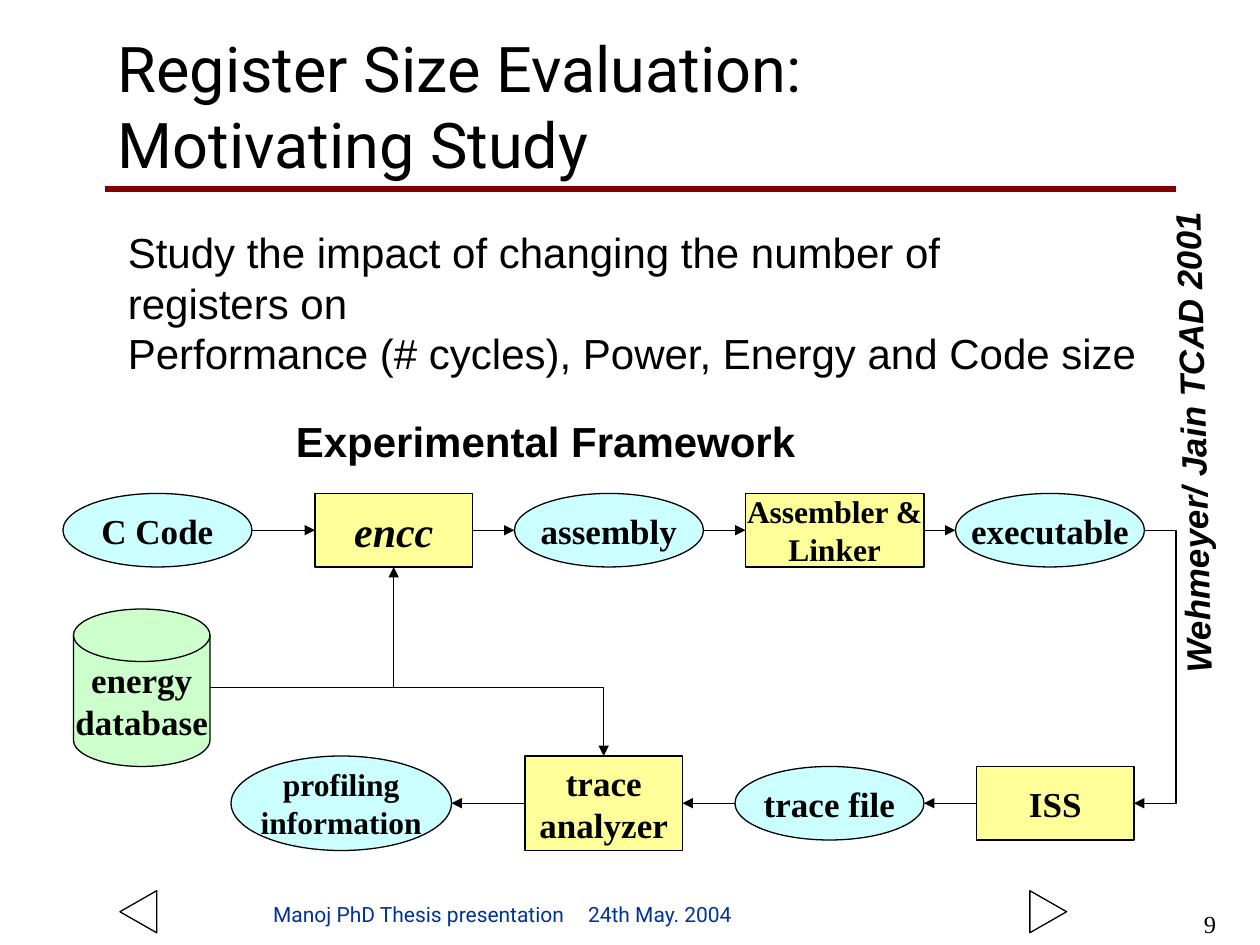
from lxml.etree import SubElement
from pptx import Presentation
from pptx.dml.color import RGBColor
from pptx.enum.shapes import MSO_CONNECTOR as LINK, MSO_SHAPE as SHAPE
from pptx.enum.text import MSO_ANCHOR as ANCHOR, MSO_AUTO_SIZE as FIT, PP_ALIGN as ALIGN
from pptx.oxml.ns import qn
from pptx.util import Pt

COLORS = {
    "black": "000000", "rule": "800000", "footer": "003399",
    "data": "CCFFFF", "tool": "FFFF99", "store": "CCFFCC",
}
SERIF = "Times New Roman"

# Connection sites of each shape kind, by side
SITES = {
    SHAPE.OVAL: {"top": 0, "left": 2, "bottom": 4, "right": 6},
    SHAPE.RECTANGLE: {"top": 0, "left": 1, "bottom": 2, "right": 3},
    SHAPE.FLOWCHART_MAGNETIC_DISK: {"top": 1, "left": 2, "bottom": 3, "right": 4},
}
FILLS = {
    SHAPE.OVAL: "data",
    SHAPE.RECTANGLE: "tool",
    SHAPE.FLOWCHART_MAGNETIC_DISK: "store",
}


def rgb(name):
    return RGBColor.from_string(COLORS[name])


def write(shape, text, size, font, color="black", bold=None, italic=None,
          align=ALIGN.LEFT, anchor=ANCHOR.BOTTOM, wrap=True):
    frame = shape.text_frame
    frame.text = text
    frame.auto_size = FIT.NONE
    frame.word_wrap = wrap
    frame.vertical_anchor = anchor
    for paragraph in frame.paragraphs:
        paragraph.alignment = align
        style = paragraph.font
        style.size, style.name = Pt(size), font
        style.bold, style.italic = bold, italic
        style.color.rgb = rgb(color)


def add_label(slide, text, left, top, width, height, size, font, **style):
    label = slide.shapes.add_textbox(Pt(left), Pt(top), Pt(width), Pt(height))
    write(label, text, size, font, **style)
    return label


def add_outline(slide, kind, left, top, width, height):
    shape = slide.shapes.add_shape(kind, Pt(left), Pt(top), Pt(width), Pt(height))
    shape.shadow.inherit = False
    shape.fill.background()
    shape.line.color.rgb = rgb("black")
    shape.line.width = Pt(0.75)
    return shape


def add_node(slide, kind, text, left, middle, width, height, size=20, italic=None):
    node = add_outline(slide, kind, left, middle - height / 2, width, height)
    node.fill.solid()
    node.fill.fore_color.rgb = rgb(FILLS[kind])
    write(node, text, size, SERIF, bold=True, italic=italic,
          align=ALIGN.CENTER, anchor=ANCHOR.MIDDLE, wrap=False)
    return node


def add_line(slide, start, end, color="black", width=0.75, kind=LINK.STRAIGHT):
    line = slide.shapes.add_connector(kind, *start, *end)
    line.line.color.rgb = rgb(color)
    line.line.width = Pt(width)
    SubElement(line._element.spPr, qn("a:effectLst"))
    return line


def side_point(node, side):
    x = {"left": 0, "right": node.width}.get(side, node.width // 2)
    y = {"top": 0, "bottom": node.height}.get(side, node.height // 2)
    return node.left + x, node.top + y


def add_arrow(slide, source, source_side, target, target_side, preset=None, bend=None):
    """Join two nodes; preset and bend describe an elbow."""
    arrow = add_line(slide, side_point(source, source_side),
                     side_point(target, target_side),
                     kind=LINK.ELBOW if preset else LINK.STRAIGHT)
    SubElement(arrow.line._get_or_add_ln(), qn("a:tailEnd"), type="triangle")
    joints = arrow._element.nvCxnSpPr.cNvCxnSpPr
    for tag, node, side in (("a:stCxn", source, source_side),
                            ("a:endCxn", target, target_side)):
        site = SITES[node.auto_shape_type][side]
        SubElement(joints, qn(tag), id=str(node.shape_id), idx=str(site))
    if preset:
        geometry = arrow._element.spPr.find(qn("a:prstGeom"))
        geometry.set("prst", preset)
        if bend is not None:
            SubElement(geometry.find(qn("a:avLst")), qn("a:gd"),
                       name="adj1", fmla=f"val {bend}")


def add_flow(slide):
    data, tool, store = SHAPE.OVAL, SHAPE.RECTANGLE, SHAPE.FLOWCHART_MAGNETIC_DISK
    upper, lower = 303, 459  # centre lines of the two rows

    code = add_node(slide, data, "C Code", 36, upper, 108, 42)
    encc = add_node(slide, tool, "encc", 180, upper, 90, 42, 24, italic=True)
    assembly = add_node(slide, data, "assembly", 294, upper, 108, 42)
    linker = add_node(slide, tool, "Assembler &\nLinker", 426, upper, 102, 42, 18)
    executable = add_node(slide, data, "executable", 546, upper, 108, 42)

    iss = add_node(slide, tool, "ISS", 558, lower, 90, 42)
    trace = add_node(slide, data, "trace file", 420, lower, 108, 42)
    analyzer = add_node(slide, tool, "trace\nanalyzer", 300, lower, 90, 54)
    profile = add_node(slide, data, "profiling\ninformation", 132, lower, 126, 54, 18)
    energy = add_node(slide, store, "energy\ndatabase", 42, 393, 78, 90)

    # Straight arrows along each row
    top_row = [code, encc, assembly, linker, executable]
    for source, target in zip(top_row, top_row[1:]):
        add_arrow(slide, source, "right", target, "left")
    bottom_row = [iss, trace, analyzer, profile]
    for source, target in zip(bottom_row, bottom_row[1:]):
        add_arrow(slide, source, "left", target, "right")

    # Elbow arrows between the rows
    add_arrow(slide, energy, "right", encc, "bottom", "bentConnector2")
    add_arrow(slide, executable, "right", iss, "right", "bentConnector3", -301400)
    add_arrow(slide, energy, "right", analyzer, "top", "bentConnector2")


def add_footer(slide):
    for left, rotation in ((67, 270), (587, 90)):
        button = add_outline(slide, SHAPE.ISOSCELES_TRIANGLE, left, 510.5, 24, 21)
        button.rotation = rotation

    credit = add_label(slide, "", 149, 509, 402, 24, 12, "Roboto")
    properties = credit.text_frame.paragraphs[0]._p.get_or_add_pPr()
    tabs = SubElement(properties, qn("a:tabLst"))
    SubElement(tabs, qn("a:tab"), pos=str(Pt(178)), algn="l")
    write(credit, "Manoj PhD Thesis presentation\t24th May. 2004", 12, "Roboto",
          color="footer")
    add_label(slide, "9", 654, 516, 48, 24, 14, SERIF,
              align=ALIGN.RIGHT, anchor=ANCHOR.TOP)


def main():
    deck = Presentation()
    deck.slide_width, deck.slide_height = Pt(720), Pt(540)
    slide = deck.slides.add_slide(deck.slide_layouts[5])

    # Title and rule
    add_line(slide, (Pt(60), Pt(108)), (Pt(672), Pt(108)), "rule", 3)
    title = slide.shapes.title
    title.left, title.top, title.width, title.height = Pt(60), Pt(24), Pt(558), Pt(72)
    write(title, "Register Size Evaluation: Motivating Study", 36, "Roboto",
          anchor=ANCHOR.MIDDLE)

    # Aim of the study
    add_label(slide, "Study the impact of changing the number of\nregisters on\n"
              "Performance (# cycles), Power, Energy and Code size",
              66, 126, 606, 93.6, 24, "Arial")
    add_label(slide, "Experimental Framework", 162, 234, 300, 36, 24, "Arial",
              bold=True, wrap=False)

    add_flow(slide)

    # Reference along the right edge
    reference = add_label(slide, "Wehmeyer/ Jain TCAD 2001", 542, 237, 278, 31.5,
                          20, "Arial", bold=True, italic=True, wrap=False)
    reference.rotation = 268.6

    add_footer(slide)
    deck.save("out.pptx")


if __name__ == "__main__":
    main()
